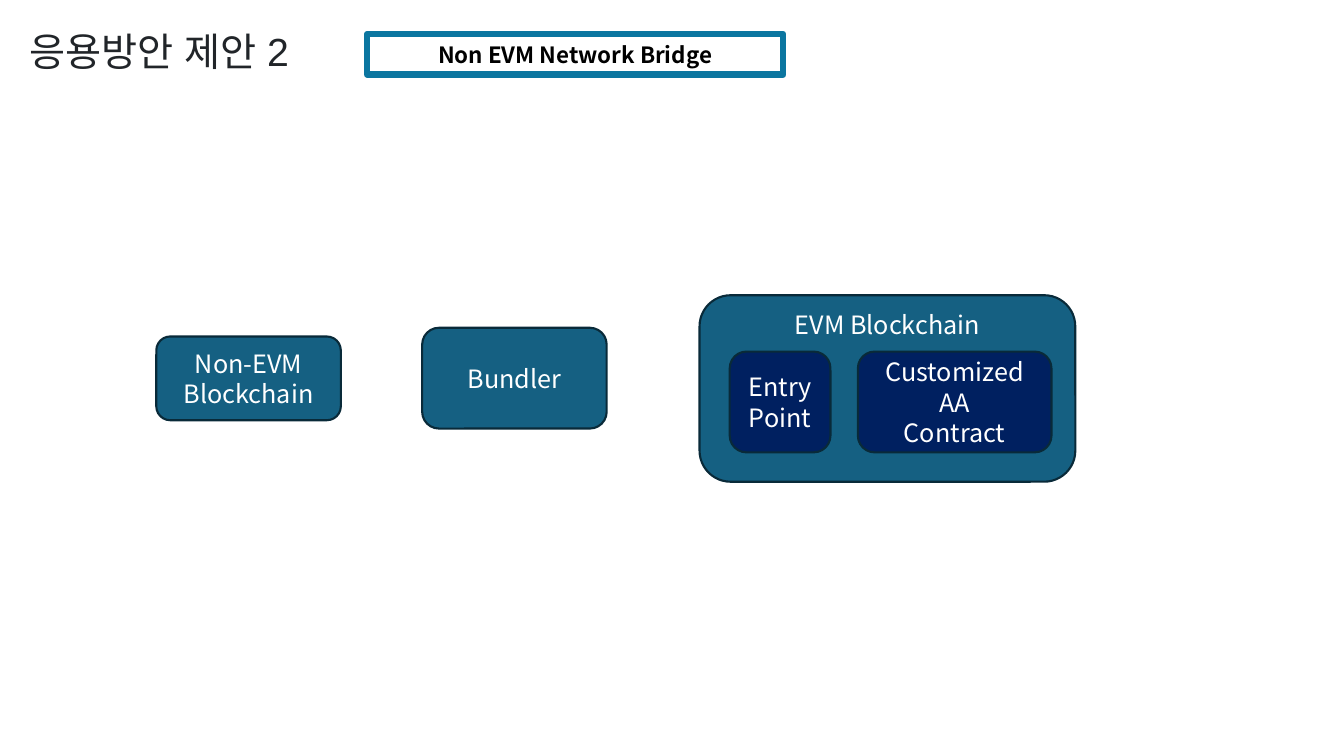
from dataclasses import dataclass
from lxml.etree import SubElement as Sub
from pptx import Presentation
from pptx.dml.color import RGBColor as Rgb
from pptx.enum.shapes import MSO_SHAPE as Kind
from pptx.enum.text import MSO_ANCHOR as Anchor, PP_ALIGN as Align
from pptx.oxml.ns import qn
from pptx.util import Cm, Pt


@dataclass(frozen=True)
class Theme:
    teal: str = "156082"
    navy: str = "002060"
    edge: str = "092A39"
    frame: str = "0B76A0"
    ink: str = "212529"
    black: str = "000000"
    white: str = "FFFFFF"
    head: int = 28
    label: int = 16
    body: int = 18
    title_font: str = "Arial"
    font: str = "Noto Sans CJK KR"


class Page:
    def __init__(self, slide, theme):
        self.slide, self.theme = slide, theme

    def words(self, shape, text, size, color, font, bold=False):
        frame = shape.text_frame
        frame.word_wrap = True
        frame.text = text
        for run in frame.paragraphs[0].runs:
            run.font.size, run.font.bold, run.font.name = Pt(size), bold, font
            run.font.color.rgb = Rgb.from_string(color)
            # East Asian glyphs use the same font
            Sub(run.font._element, qn("a:ea"), typeface=font)
        return frame

    def title(self, text, *area):
        box = self.slide.shapes.add_textbox(*map(Cm, area))
        self.words(box, text, self.theme.head, self.theme.ink, self.theme.title_font)

    def shape(self, kind, area, line, width):
        shape = self.slide.shapes.add_shape(kind, *map(Cm, area))
        shape.shadow.inherit = False
        shape.line.color.rgb = Rgb.from_string(line)
        shape.line.width = Pt(width)
        return shape

    def center(self, frame, anchor=Anchor.MIDDLE):
        frame.vertical_anchor = anchor
        frame.paragraphs[0].alignment = Align.CENTER

    def label(self, text, *area):
        look = self.theme
        shape = self.shape(Kind.RECTANGLE, area, look.frame, 4.5)
        shape.fill.background()
        self.center(self.words(shape, text, look.label, look.black, look.font, True))

    def node(self, text, *area, fill, anchor=Anchor.MIDDLE):
        look = self.theme
        shape = self.shape(Kind.ROUNDED_RECTANGLE, area, look.edge, 1.5)
        shape.fill.solid()
        shape.fill.fore_color.rgb = Rgb.from_string(fill)
        self.center(self.words(shape, text, look.body, look.white, look.font), anchor)


def main():
    deck = Presentation()
    deck.slide_width, deck.slide_height = Cm(33.87), Cm(19.05)
    look = Theme()
    page = Page(deck.slides.add_slide(deck.slide_layouts[6]), look)

    # Heading
    page.title("응용방안 제안 2", 0.5, 0.56, 21.08, 1.45)
    page.label("Non EVM Network Bridge", 9.25, 0.86, 10.49, 1.02)

    # Source chain and bundler
    page.node("Non-EVM Blockchain", 3.94, 8.48, 4.65, 2.11, fill=look.teal)
    page.node("Bundler", 10.64, 8.26, 4.65, 2.54, fill=look.teal)

    # Target chain with its contracts
    page.node("EVM Blockchain", 17.63, 7.44, 9.47, 4.7,
              fill=look.teal, anchor=Anchor.TOP)
    page.node("EntryPoint", 18.39, 8.86, 2.54, 2.54, fill=look.navy)
    page.node("Customized\vAA\vContract", 21.62, 8.86, 4.88, 2.54, fill=look.navy)

    deck.save("out.pptx")


if __name__ == "__main__":
    main()
